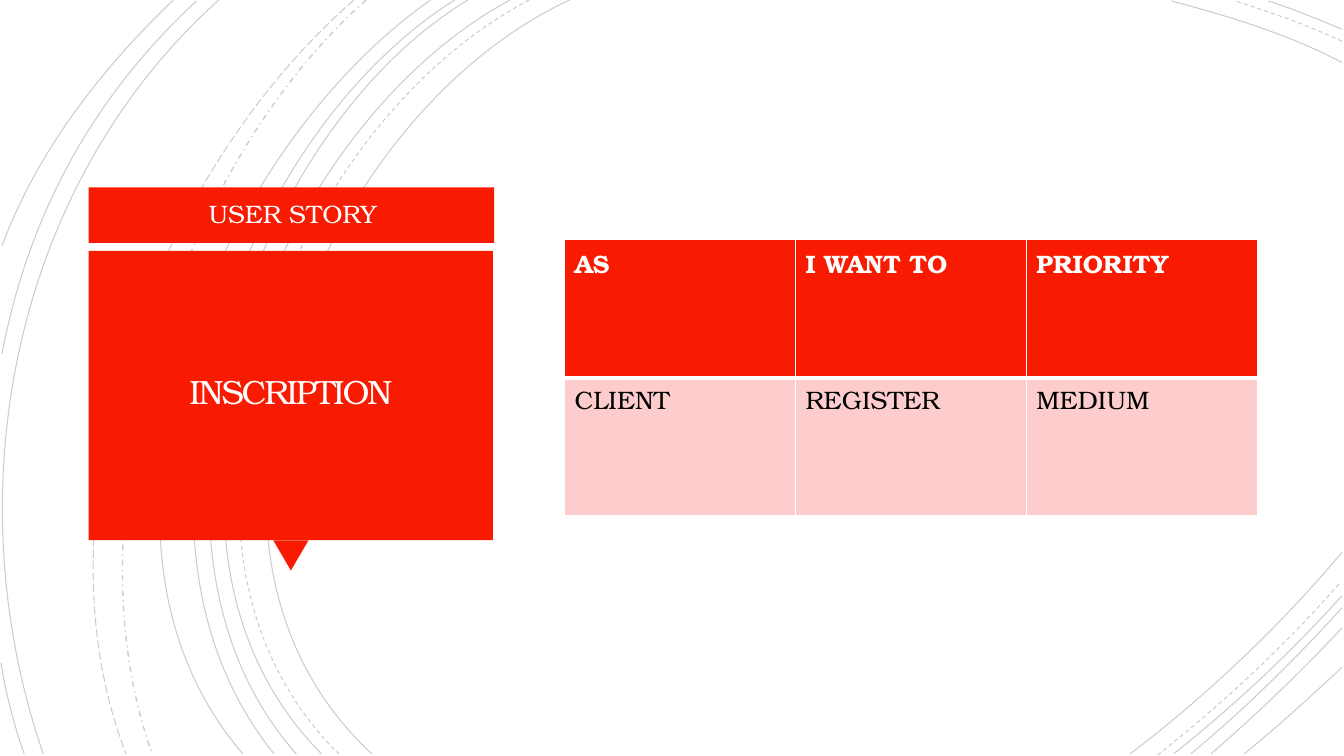
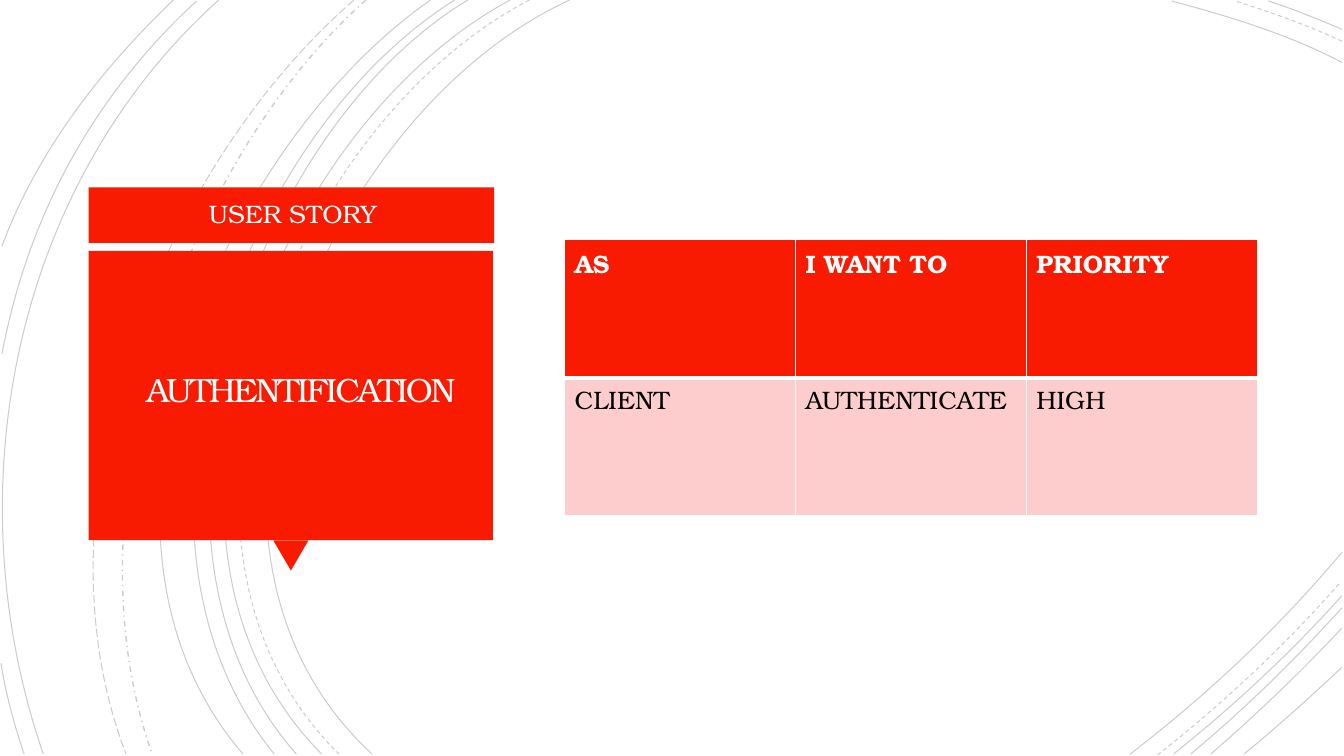
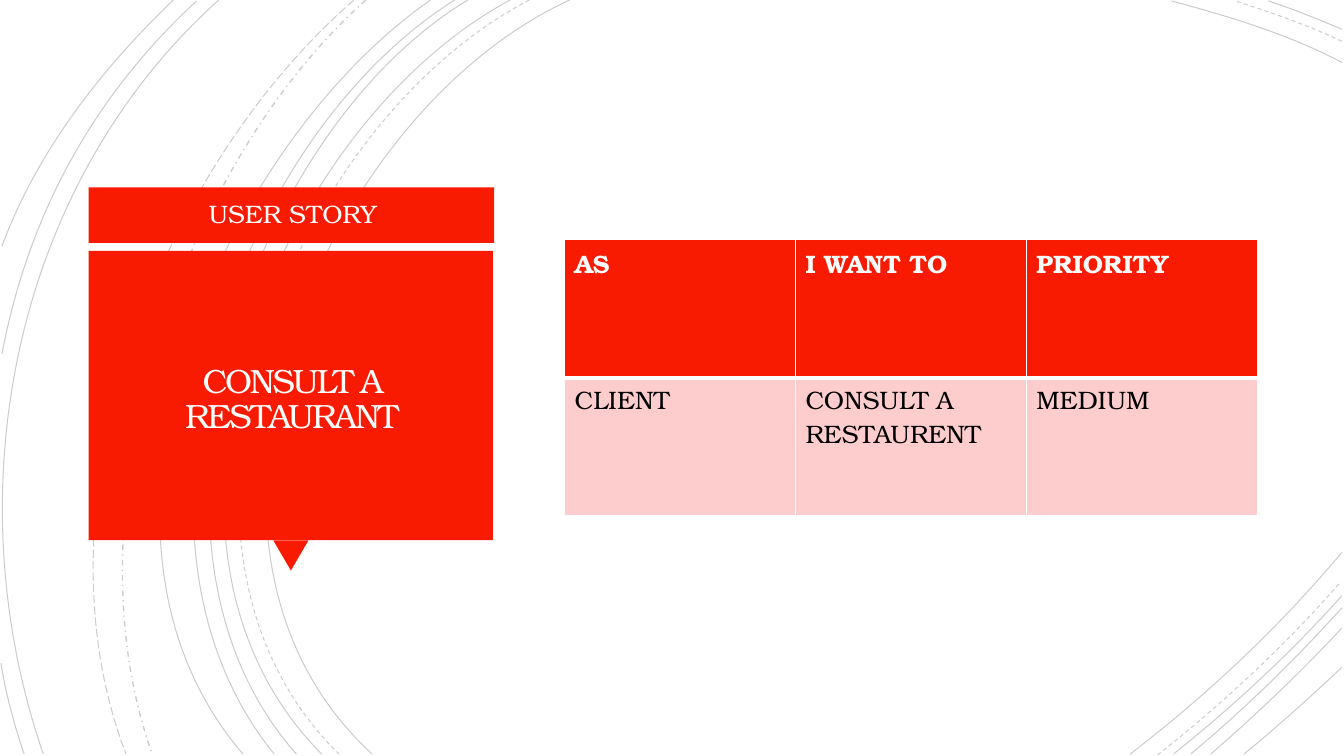
from pptx import Presentation
from pptx.dml.color import RGBColor
from pptx.enum.dml import MSO_LINE
from pptx.enum.shapes import MSO_SHAPE, PP_PLACEHOLDER
from pptx.enum.text import MSO_ANCHOR, MSO_AUTO_SIZE, PP_ALIGN
from pptx.oxml.ns import qn
from pptx.oxml.xmlchemy import OxmlElement
from pptx.util import Inches, Pt

SOLID, DASH = MSO_LINE.SOLID, MSO_LINE.DASH
DASH_DOT, LONG_DASH = MSO_LINE.DASH_DOT, MSO_LINE.LONG_DASH
RECT, TRIANGLE = MSO_SHAPE.RECTANGLE, MSO_SHAPE.ISOSCELES_TRIANGLE
TITLE = PP_PLACEHOLDER.TITLE
MIDDLE, CENTER = MSO_ANCHOR.MIDDLE, PP_ALIGN.CENTER
NO_FIT, GROW = MSO_AUTO_SIZE.NONE, MSO_AUTO_SIZE.SHAPE_TO_FIT_TEXT

FONT = "TeX Gyre Bonum"
RED, PINK, BLACK, WHITE, TITLE_WHITE = "F81B02", "FCCDCC", "000000", "FFFFFF", "FFFEFF"

# Each curve: start, two control points, end, dash, width
CURVES = [
    ((5.65, 0), (3.15, 1.15), (1.43, 5.4), (3.69, 7.48), SOLID, 0.75),
    ((13.31, 0.62), (12.78, 0.34), (12.18, 0.16), (11.62, 0.01), SOLID, 0.75),
    ((11.21, 7.48), (11.97, 6.9), (12.69, 6.22), (13.31, 5.48), SOLID, 0.75),
    ((5.25, 0), (2.85, 1.25), (1.23, 5.37), (3.36, 7.48), DASH, 0.75),
    ((13.31, 0.41), (12.97, 0.25), (12.6, 0.12), (12.25, 0.01), DASH, 0.75),
    ((11.48, 7.49), (12.13, 6.98), (12.75, 6.4), (13.3, 5.77), DASH, 0.75),
    ((5.06, 0), (2.7, 1.27), (1.1, 5.37), (3.19, 7.48), SOLID, 0.75),
    ((13.31, 0.29), (13.07, 0.19), (12.83, 0.09), (12.58, 0.01), SOLID, 0.75),
    ((11.64, 7.48), (12.23, 7.01), (12.8, 6.48), (13.31, 5.91), SOLID, 0.75),
    ((4.64, 0), (2.44, 1.33), (1.1, 5.41), (2.94, 7.48), SOLID, 0.75),
    ((11.81, 7.48), (12.34, 7.04), (12.84, 6.55), (13.31, 6.03), SOLID, 0.75),
    ((4.51, 0), (2.31, 1.38), (0.97, 5.33), (2.72, 7.48), SOLID, 0.75),
    ((12.01, 7.48), (12.46, 7.09), (12.9, 6.67), (13.31, 6.23), SOLID, 0.75),
    ((4.27, 0), (2.17, 1.47), (0.53, 5.29), (2.41, 7.48), SOLID, 0.75),
    ((12.34, 7.48), (12.67, 7.21), (12.99, 6.92), (13.31, 6.62), SOLID, 0.75),
    ((3.63, 0), (1.76, 1.66), (0.65, 5.09), (1.51, 7.48), DASH_DOT, 1),
    ((3.51, 0), (1.57, 1.69), (0.29, 4.99), (1.25, 7.48), LONG_DASH, 0.75),
    ((2.17, 0), (0.11, 1.85), (-0.46, 4.9), (0.43, 7.48), SOLID, 0.75),
    ((1.95, 0.01), (0.92, 0.96), (0.28, 2.14), (0.02, 3.51), SOLID, 0.75),
    ((0.01, 6.58), (0.06, 6.89), (0.14, 7.19), (0.24, 7.48), SOLID, 0.75),
    ((1.72, 0), (1, 0.69), (0.37, 1.5), (0.02, 2.44), SOLID, 0.75),
]

HEADERS = ["AS", "I WANT TO", "PRIORITY"]
# Each story: title, title frame, table row
STORIES = [
    ("INSCRIPTION", (0.97, 2.57, 3.83, 2.69), ["CLIENT", "REGISTER", "MEDIUM"]),
    ("AUTHENTIFICATION", (-0.07, 2.55, 6.11, 2.69), ["CLIENT", "AUTHENTICATE", "HIGH"]),
    ("CONSULT A RESTAURANT", (0.98, 2.63, 3.83, 2.69),
     ["CLIENT", "CONSULT A RESTAURENT", "MEDIUM"]),
]


def rgb(color):
    return RGBColor.from_string(color)


def inches(values):
    return [Inches(v) for v in values]


def write(tf, text, size, color, bold=False):
    tf.text = text
    font = tf.paragraphs[0].runs[0].font
    font.name, font.size, font.bold = FONT, Pt(size), bold
    font.color.rgb = rgb(color)


def add_curve(slide, start, control1, control2, end, dash, width):
    """Draw an open cubic curve as a faint line."""
    builder = slide.shapes.build_freeform(*inches(start))
    builder.add_line_segments([inches(pt) for pt in (control1, control2, end)], close=False)
    sp = builder.convert_to_shape()
    segments = list(sp.element.iter(qn("a:lnTo")))
    bezier = OxmlElement("a:cubicBezTo")
    segments[0].addprevious(bezier)
    for segment in segments:
        bezier.append(segment[0])
        segment.getparent().remove(segment)
    sp.shadow.inherit = False
    sp.fill.background()
    sp.line.color.rgb = rgb(BLACK)
    sp.line.width = Pt(width)
    sp.line.dash_style = dash
    alpha = OxmlElement("a:alpha")
    alpha.set("val", "20000")
    next(sp.element.iter(qn("a:srgbClr"))).append(alpha)


def add_block(slide, kind, frame, rotation=0):
    sp = slide.shapes.add_shape(kind, *inches(frame))
    sp.rotation = rotation
    sp.shadow.inherit = False
    sp.fill.solid()
    sp.fill.fore_color.rgb = rgb(RED)
    sp.line.fill.background()


def build_layout(layout, slide):
    """Draw the shared curves and card on a slide, then move them to its layout."""
    for ph in list(layout.placeholders):
        if ph.placeholder_format.type != TITLE:
            ph.element.getparent().remove(ph.element)
    for curve in CURVES:
        add_curve(slide, *curve)
    add_block(slide, RECT, (0.88, 1.86, 4.02, 0.55))
    add_block(slide, TRIANGLE, (2.71, 5.36, 0.35, 0.3), rotation=180)
    add_block(slide, RECT, (0.88, 2.49, 4.01, 2.87))
    for sp in list(slide.shapes):
        if not sp.is_placeholder:
            layout.shapes.element.append(sp.element)


def set_title(slide, text, frame):
    title = slide.shapes.title
    title.left, title.top, title.width, title.height = inches(frame)
    tf = title.text_frame
    write(tf, text, 24, TITLE_WHITE)
    tf.word_wrap, tf.auto_size, tf.vertical_anchor = True, NO_FIT, MIDDLE
    tf.margin_left = tf.margin_top = tf.margin_right = tf.margin_bottom = Inches(0.25)
    p = tf.paragraphs[0]
    p.alignment, p.line_spacing = CENTER, 0.85
    p.runs[0].font._element.set("spc", "-150")


def add_label(slide, text, frame):
    tf = slide.shapes.add_textbox(*inches(frame)).text_frame
    tf.word_wrap, tf.auto_size = True, GROW
    write(tf, text, 18, WHITE)


def set_borders(cell, **widths):
    """Give the cell white borders; sides are L, R, T and B, in points."""
    for side, width in widths.items():
        ln = OxmlElement(f"a:ln{side}")
        ln.set("w", str(Pt(width)))
        fill = OxmlElement("a:solidFill")
        color = OxmlElement("a:srgbClr")
        color.set("val", WHITE)
        fill.append(color)
        ln.append(fill)
        cell._tc.get_or_add_tcPr().append(ln)


def add_story_table(slide, row):
    frame = inches((5.6, 2.38, 6.87, 2.74))
    table = slide.shapes.add_table(2, len(HEADERS), *frame).table
    for i, texts in enumerate((HEADERS, row)):
        header = i == 0
        for j, text in enumerate(texts):
            cell = table.cell(i, j)
            write(cell.text_frame, text, 18, WHITE if header else BLACK, bold=header)
            set_borders(cell, L=1, R=1, T=1 if header else 3, B=3 if header else 1)
            cell.fill.solid()
            cell.fill.fore_color.rgb = rgb(RED if header else PINK)


def main():
    prs = Presentation()
    prs.slide_width, prs.slide_height = Inches(13.33), Inches(7.5)
    layout = prs.slide_layouts[5]
    slides = [prs.slides.add_slide(layout) for _ in STORIES]
    build_layout(layout, slides[0])
    for slide, (title, frame, row) in zip(slides, STORIES):
        set_title(slide, title, frame)
        add_label(slide, "USER STORY", (1.97, 1.92, 3, 0.4))
        add_story_table(slide, row)
    prs.save("out.pptx")


if __name__ == "__main__":
    main()
